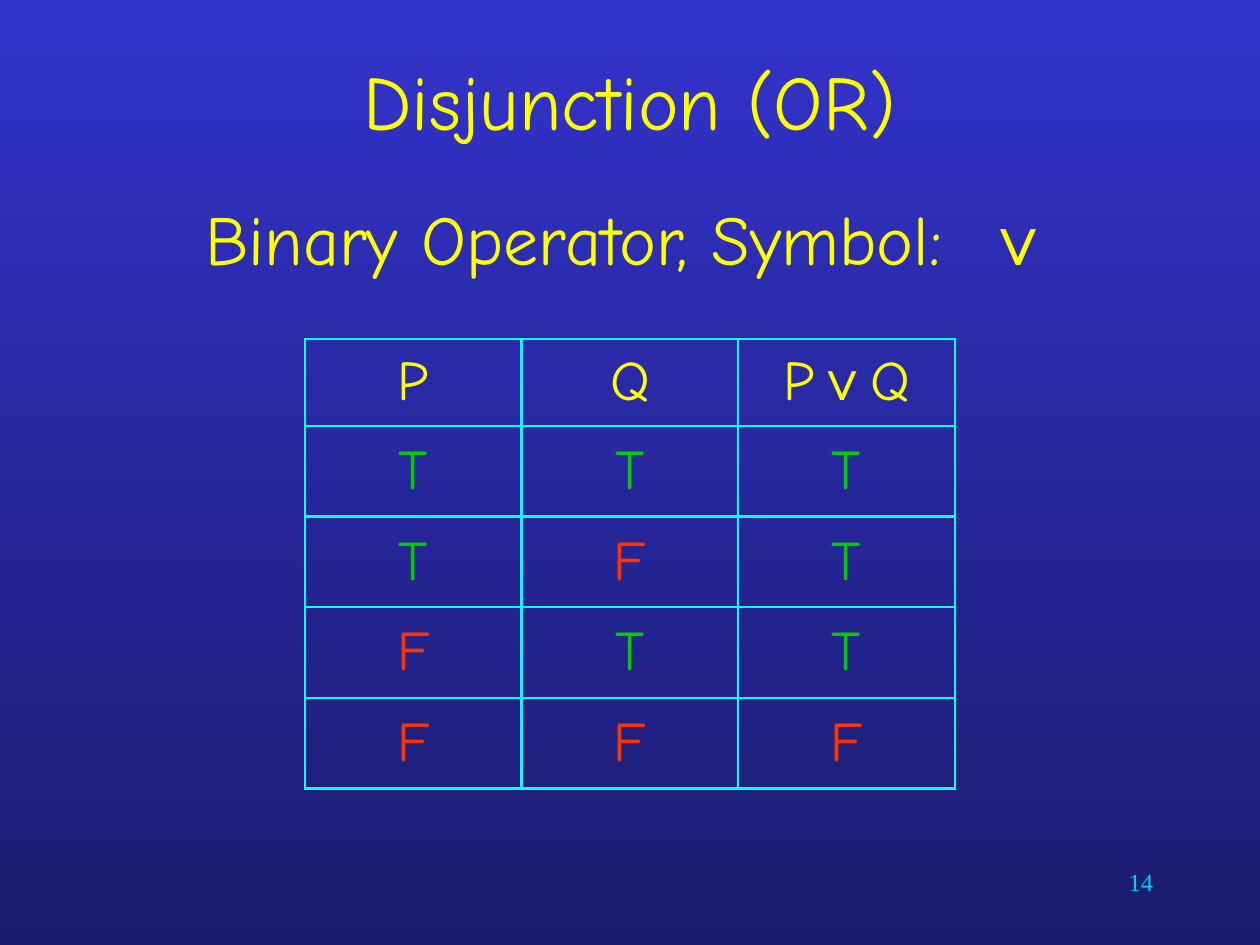
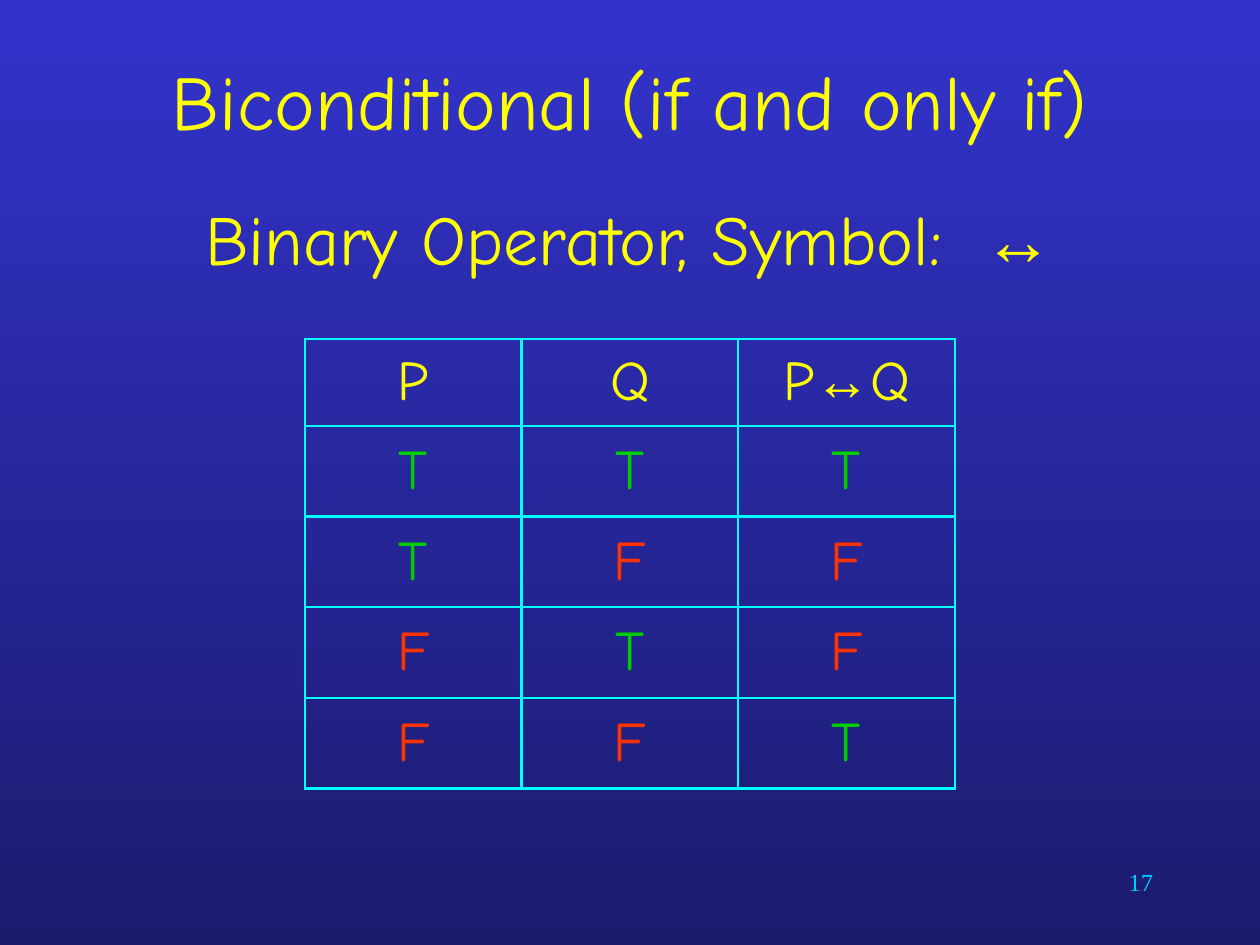
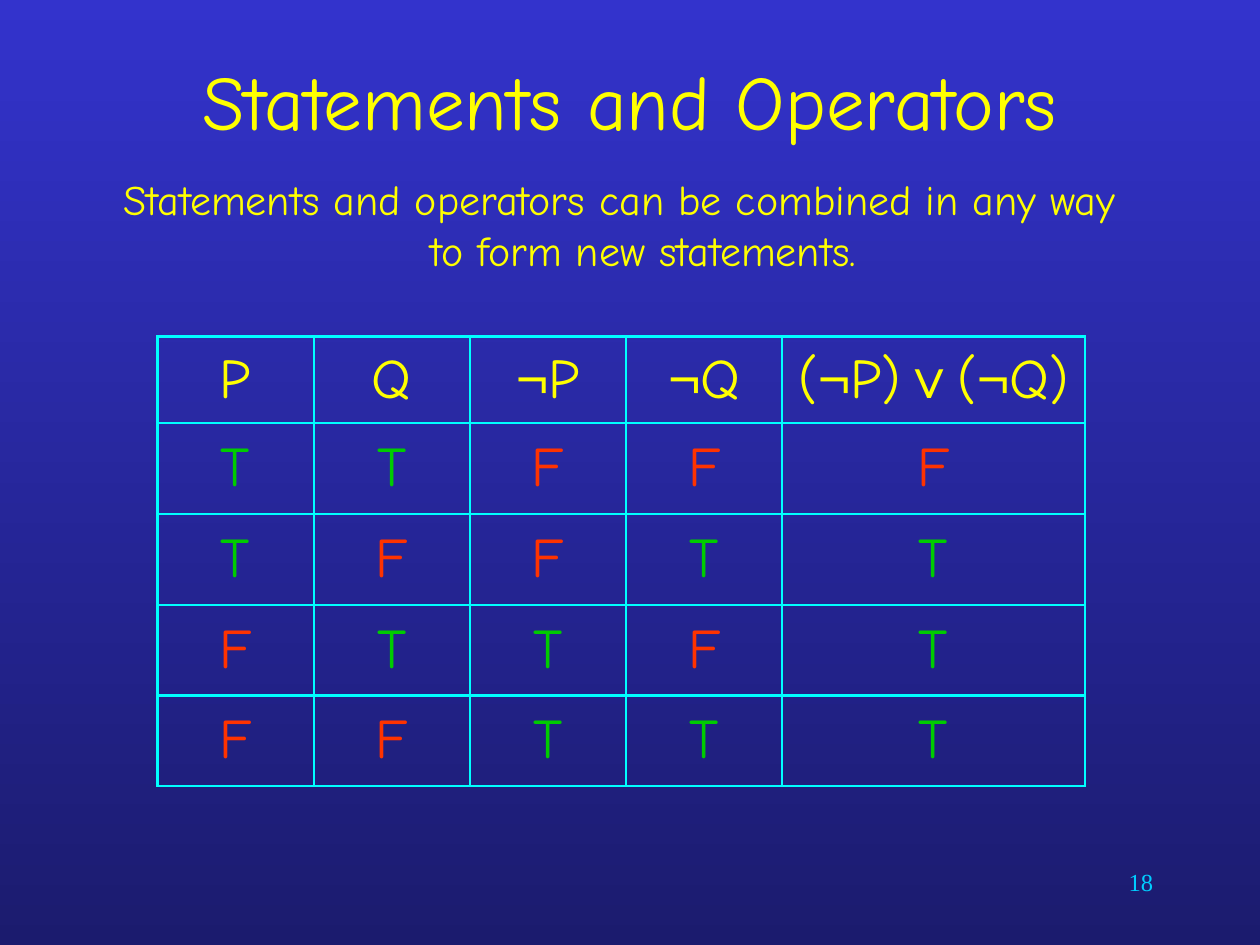
from itertools import groupby, product

from pptx import Presentation
from pptx.dml.color import RGBColor
from pptx.enum.text import MSO_ANCHOR, PP_ALIGN
from pptx.oxml import parse_xml
from pptx.oxml.ns import nsdecls
from pptx.util import Inches, Pt

YELLOW, GREEN, RED = "FFFF00", "00CC00", "FF3300"
CYAN, SKY = "00FFFF", "00CCFF"
TOP, BASE = "3333CC", "1B1B6E"
HAND, SANS, SERIF = "Comic Neue", "Arial", "Times New Roman"
SIGNS = "∨↔¬"
HEAD_H, ROW_H = 0.69, 0.72
EDGE = 1.47

P_Q = {"P": lambda p, q: p, "Q": lambda p, q: q}


def rgb(code):
    return RGBColor.from_string(code)


def style(para, size, color, face=HAND, align=PP_ALIGN.CENTER):
    para.alignment = align
    font = para.font
    font.name, font.size, font.color.rgb = face, Pt(size), rgb(color)


def write(para, words, bold):
    """Add runs to a paragraph, with logic signs in the sans face."""
    for sign, part in groupby(words, lambda c: c in SIGNS):
        run = para.add_run()
        run.text = "".join(part)
        if sign:
            run.font.name = SANS
            run.font.bold = bold


def place(shape, left, top, width, height):
    shape.left, shape.top = Inches(left), Inches(top)
    shape.width, shape.height = Inches(width), Inches(height)


def paint(master):
    fill = master.background.fill
    fill.gradient()
    fill.gradient_angle = 270
    for stop, place_at, code in zip(fill.gradient_stops, (0, 1), (TOP, BASE)):
        stop.position, stop.color.rgb = place_at, rgb(code)


def box(slide, left, top, width, height):
    """Add a wrapping text box and return its first paragraph."""
    frame = slide.shapes.add_textbox(
        Inches(left), Inches(top), Inches(width), Inches(height)).text_frame
    frame.word_wrap = True
    return frame.paragraphs[0]


def hang(para):
    props = para._p.get_or_add_pPr()
    props.set("marL", str(Inches(0.38)))
    props.set("indent", str(-Inches(0.38)))


def start(deck, title, number):
    """Add a slide with its title and number."""
    slide = deck.slides.add_slide(deck.slide_layouts[5])
    head = slide.shapes.title
    place(head, 0.75, 0.42, 8.5, 0.75)
    head.text_frame.text = title
    head.text_frame.vertical_anchor = MSO_ANCHOR.MIDDLE
    style(head.text_frame.paragraphs[0], 44, YELLOW)
    foot = box(slide, 7.17, 6.83, 2.08, 0.5)
    foot.text = str(number)
    style(foot, 14, SKY, SERIF, PP_ALIGN.RIGHT)
    return slide


def border(cell):
    props = cell._tc.get_or_add_tcPr()
    for at, side in enumerate(("lnL", "lnR", "lnT", "lnB")):
        props.insert(at, parse_xml(
            f'<a:{side} {nsdecls("a")} w="{Pt(EDGE)}"><a:solidFill>'
            f'<a:srgbClr val="{CYAN}"/></a:solidFill></a:{side}>'))


def put(cell, words, color, bold):
    cell.fill.background()
    border(cell)
    cell.vertical_anchor = MSO_ANCHOR.MIDDLE
    para = cell.text_frame.paragraphs[0]
    style(para, 32, color)
    write(para, words, bold)


def truth(slide, left, top, widths, rules, bold=False):
    """Draw a truth table; rules maps each heading to its function of P, Q."""
    cases = list(product((True, False), repeat=2))
    grid = slide.shapes.add_table(
        len(cases) + 1, len(rules), Inches(left), Inches(top),
        Inches(sum(widths)), Inches(HEAD_H + ROW_H * len(cases))).table
    grid.first_row = grid.horz_banding = False
    for row in grid.rows:
        row.height = Inches(ROW_H)
    grid.rows[0].height = Inches(HEAD_H)
    for col, (head, rule) in enumerate(rules.items()):
        grid.columns[col].width = Inches(widths[col])
        put(grid.cell(0, col), head, YELLOW, bold)
        for row, case in enumerate(cases, 1):
            mark, color = ("T", GREEN) if rule(*case) else ("F", RED)
            put(grid.cell(row, col), mark, color, bold)


def binary(deck, title, number, sign, rule):
    """Add a slide on one binary operator."""
    slide = start(deck, title, number)
    para = box(slide, 0.58, 1.5, 8.83, 0.92)
    hang(para)
    style(para, 40, YELLOW)
    write(para, "Binary Operator, Symbol:", True)
    gap = para.add_run()
    gap.text = " "
    gap.font._element.set("spc", "1040")
    write(para, sign, True)
    truth(slide, 2.42, 2.69, [1.72] * 3, {**P_Q, f"P{sign}Q": rule}, True)


def combined(deck):
    slide = start(deck, "Statements and Operators", 18)
    para = box(slide, 0.83, 1.33, 8.17, 0.92)
    hang(para)
    style(para, 24, YELLOW)
    write(para, "Statements and operators can be combined in any way "
                "to form new statements.", False)
    truth(slide, 1.25, 2.67, [1.24] * 4 + [2.4], {
        **P_Q,
        "¬P": lambda p, q: not p,
        "¬Q": lambda p, q: not q,
        "(¬P)∨(¬Q)": lambda p, q: not p or not q,
    })


def main():
    deck = Presentation()
    deck.slide_width, deck.slide_height = Inches(10), Inches(7.5)
    paint(deck.slide_master)
    binary(deck, "Disjunction (OR)", 14, "∨", lambda p, q: p or q)
    binary(deck, "Biconditional (if and only if)", 17, "↔",
           lambda p, q: p == q)
    combined(deck)
    deck.save("out.pptx")


if __name__ == "__main__":
    main()
